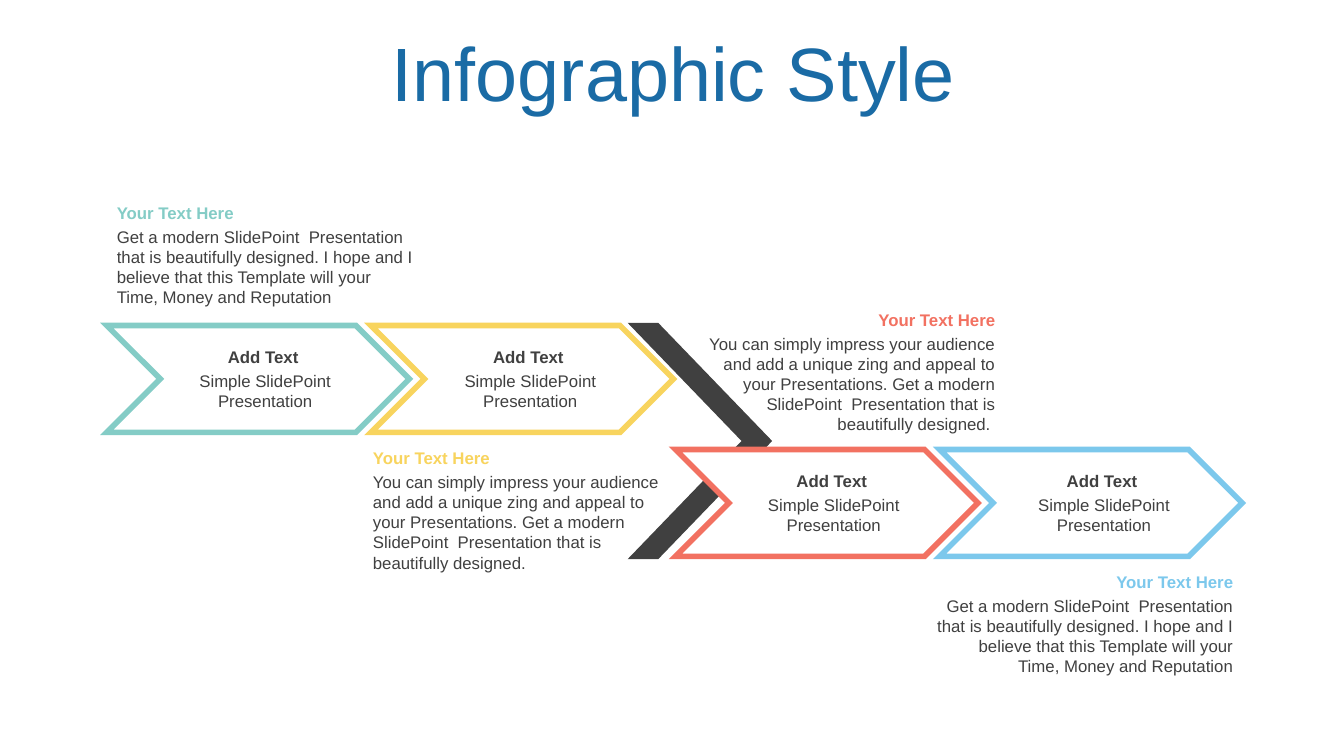
"""Infographic slide: four chevron steps on two levels, each with a caption and a note."""
import pptx
import pptx.util
import pptx.dml.color
import pptx.enum.shapes
import pptx.enum.text
import pptx.oxml.ns
import lxml.etree

Inches = pptx.util.Inches
Pt = pptx.util.Pt
ALIGN = pptx.enum.text.PP_ALIGN
COLOURS = {
    "title": "1A6BA5", "text": "404040", "white": "FFFFFF",
    "teal": "84CCC6", "yellow": "F8D45E", "red": "F27161", "blue": "7CC8EC",
}
STEP_WIDTH, STEP_HEIGHT, STEP_PITCH = 3, 1.06, 2.62
ROW_LEFTS, ROW_TOPS = (1.06, 6.7), (3.23, 4.46)
CAPTION_WIDTH, NOTE_WIDTH = 1.88, 3.15
HEADING_HEIGHT, LINE_GAP = 0.3, 0.24

REPUTATION = ("Get a modern SlidePoint  Presentation that is beautifully designed. "
              "I hope and I believe that this Template will your Time, Money and Reputation")
IMPRESSION = ("You can simply impress your audience and add a unique zing and appeal to "
              "your Presentations. Get a modern SlidePoint  Presentation that is "
              "beautifully designed.")

STEPS = [
    (0, 0, "teal", 0.61, (1.06, 1.96), 0.91, ALIGN.LEFT, REPUTATION),
    (0, 1, "yellow", 0.62, (3.6, 4.39), 1.11, ALIGN.LEFT, IMPRESSION),
    (1, 0, "red", 0.61, (6.82, 3.02), 1.11, ALIGN.RIGHT, IMPRESSION + " "),
    (1, 1, "blue", 0.67, (9.18, 5.62), 0.91, ALIGN.RIGHT, REPUTATION),
]


def add_chevron(left, top, width, height, fill, line):
    chevron = slide.shapes.add_shape(
        pptx.enum.shapes.MSO_SHAPE.CHEVRON,
        Inches(left), Inches(top), Inches(width), Inches(height))
    chevron.shadow.inherit = False
    chevron.fill.solid()
    chevron.fill.fore_color.rgb = pptx.dml.color.RGBColor.from_string(COLOURS[fill])
    chevron.line.color.rgb = pptx.dml.color.RGBColor.from_string(COLOURS[line])
    chevron.line.width = Pt(4)
    outline = chevron.line._get_or_add_ln()
    miter = lxml.etree.SubElement(outline, pptx.oxml.ns.qn("a:miter"))
    miter.set("lim", "800000")
    return chevron


def add_words(left, top, width, height, words, align, colour="text", bold=False):
    frame = slide.shapes.add_textbox(
        Inches(left), Inches(top), Inches(width), Inches(height)).text_frame
    frame.word_wrap = True
    frame.auto_size = pptx.enum.text.MSO_AUTO_SIZE.SHAPE_TO_FIT_TEXT
    frame.text = words
    paragraph = frame.paragraphs[0]
    paragraph.alignment = align
    font = paragraph.runs[0].font
    font.name, font.size, font.bold = "Arial", Pt(12), bold
    font.color.rgb = pptx.dml.color.RGBColor.from_string(COLOURS[colour])


presentation = pptx.Presentation()
presentation.slide_width = Inches(13.33)
presentation.slide_height = Inches(7.5)
slide = presentation.slides.add_slide(presentation.slide_layouts[5])

title = slide.shapes.title
title.left, title.top = Inches(0.35), Inches(0.37)
title.width, title.height = Inches(12.66), Inches(0.79)
title.text_frame.text = "Infographic Style"
title.text_frame.auto_size = pptx.enum.text.MSO_AUTO_SIZE.NONE
title.text_frame.vertical_anchor = pptx.enum.text.MSO_ANCHOR.MIDDLE
heading = title.text_frame.paragraphs[0]
heading.alignment = ALIGN.CENTER
heading.line_spacing = 0.9
heading_font = heading.runs[0].font
heading_font.name, heading_font.size = "Arial", Pt(54)
heading_font.color.rgb = pptx.dml.color.RGBColor.from_string(COLOURS["title"])

for row, column, colour, *_ in STEPS:
    if (row, column) == (1, 0):
        level_link = add_chevron(6.29, ROW_TOPS[0], 1.33,
                                 ROW_TOPS[1] + STEP_HEIGHT - ROW_TOPS[0], "text", "text")
        level_link.adjustments[0] = 0.83
    add_chevron(ROW_LEFTS[row] + column * STEP_PITCH, ROW_TOPS[row],
                STEP_WIDTH, STEP_HEIGHT, "white", colour)

for row, column, colour, indent, note_corner, note_height, align, note in STEPS:
    caption_left = ROW_LEFTS[row] + column * STEP_PITCH + indent
    caption_top = ROW_TOPS[row] + 0.16
    add_words(caption_left, caption_top, CAPTION_WIDTH, HEADING_HEIGHT,
              "Add Text", ALIGN.CENTER, bold=True)
    add_words(caption_left + 0.02, caption_top + LINE_GAP, CAPTION_WIDTH, 0.5,
              "Simple SlidePoint Presentation", ALIGN.CENTER)
    note_left, note_top = note_corner
    add_words(note_left, note_top + LINE_GAP, NOTE_WIDTH, note_height, note, align)
    add_words(note_left, note_top, NOTE_WIDTH, HEADING_HEIGHT,
              "Your Text Here", align, colour, bold=True)

presentation.save("out.pptx")
